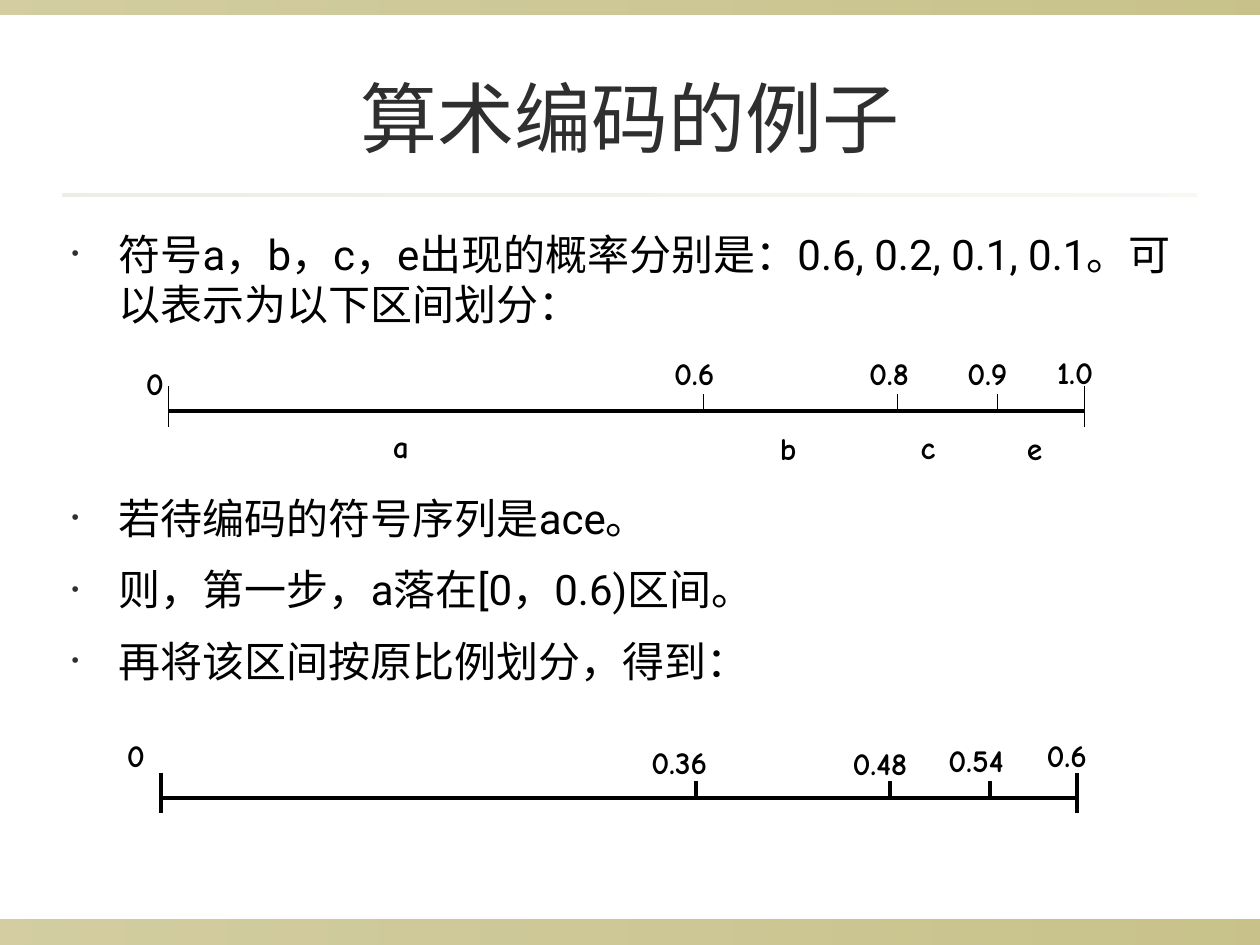
"""Build a slide that explains arithmetic coding with two divided intervals."""
import pptx
import pptx.dml.color
import pptx.enum.shapes
import pptx.enum.text
import pptx.oxml.ns
import pptx.util
from lxml import etree
from pptx.util import Cm

OLIVE = pptx.dml.color.RGBColor(0x91, 0x84, 0x15)
SAND = pptx.dml.color.RGBColor(0xDC, 0xD9, 0xCC)
CHARCOAL = pptx.dml.color.RGBColor(0x2F, 0x2F, 0x2F)
BLACK = pptx.dml.color.RGBColor(0, 0, 0)
TITLE_FONT = {"name": "Roboto", "size": pptx.util.Pt(44)}
BODY_FONT = {"name": "Roboto", "size": pptx.util.Pt(24)}
LABEL_FONT = {"name": "Comic Neue", "size": pptx.util.Pt(18), "bold": True}


def write_text(paragraph, text, font_format, color):
    run = paragraph.add_run()
    run.text = text
    for name, value in font_format.items():
        setattr(run.font, name, value)
    run.font.color.rgb = color


def draw_line(group, start_x, start_y, end_x, end_y, width):
    line = group.shapes.add_connector(
        pptx.enum.shapes.MSO_CONNECTOR.STRAIGHT, Cm(start_x), Cm(start_y), Cm(end_x), Cm(end_y)
    )
    line.line.color.rgb = BLACK
    line.line.width = pptx.util.Pt(width)
    etree.SubElement(line._element.spPr, pptx.oxml.ns.qn("a:effectLst"))


presentation = pptx.Presentation()
presentation.slide_width = Cm(25.4)
presentation.slide_height = Cm(19.05)
slide = presentation.slides.add_slide(presentation.slide_layouts[1])

bands = [
    (0, 18.54, 25.4, 0.51, OLIVE, (40, 50)),
    (0, 0, 25.4, 0.3, OLIVE, (40, 50)),
    (1.27, 3.91, 22.86, 0.05, SAND, (50, 20)),
]
for left, top, width, height, color, opacities in bands:
    shape = slide.shapes.add_shape(
        pptx.enum.shapes.MSO_SHAPE.RECTANGLE, Cm(left), Cm(top), Cm(width), Cm(height)
    )
    shape.shadow.inherit = False
    shape.line.fill.background()
    shape.fill.gradient()
    shape.fill.gradient_angle = 0
    for stop in shape.fill.gradient_stops:
        stop.color.rgb = color
    stop_colors = shape._element.spPr.iter(pptx.oxml.ns.qn("a:srgbClr"))
    for stop_color, opacity in zip(stop_colors, opacities):
        etree.SubElement(stop_color, pptx.oxml.ns.qn("a:alpha"), val=str(opacity * 1000))

title = slide.shapes.title
body = slide.placeholders[1]
placeholder_places = [(title, 1.27, 0.76, 22.86, 3.18), (body, 1.19, 4.47, 22.86, 13.03)]
for shape, left, top, width, height in placeholder_places:
    place = {"left": Cm(left), "top": Cm(top), "width": Cm(width), "height": Cm(height)}
    for name, value in place.items():
        setattr(shape, name, value)
    shape.text_frame.auto_size = pptx.enum.text.MSO_AUTO_SIZE.NONE
    shape.text_frame.word_wrap = True

title.text_frame.vertical_anchor = pptx.enum.text.MSO_ANCHOR.MIDDLE
title.text_frame.paragraphs[0].alignment = pptx.enum.text.PP_ALIGN.CENTER
write_text(title.text_frame.paragraphs[0], "算术编码的例子", TITLE_FONT, CHARCOAL)

bullets = [
    ("符号a，b，c，e出现的概率分别是：0.6, 0.2, 0.1, 0.1。可以表示为以下区间划分：", 0),
    ("若待编码的符号序列是ace。", 87.5),
    ("则，第一步，a落在[0，0.6)区间。", 6),
    ("再将该区间按原比例划分，得到：", 6),
]
for index, (text, space_before) in enumerate(bullets):
    paragraph = body.text_frame.add_paragraph() if index else body.text_frame.paragraphs[0]
    properties = paragraph._p.get_or_add_pPr()
    properties.set("marL", str(Cm(0.95)))
    properties.set("indent", str(Cm(-0.95)))
    bullet_color = etree.SubElement(properties, pptx.oxml.ns.qn("a:buClr"))
    etree.SubElement(bullet_color, pptx.oxml.ns.qn("a:srgbClr"), val=str(CHARCOAL))
    etree.SubElement(properties, pptx.oxml.ns.qn("a:buSzPct"), val="50000")
    etree.SubElement(properties, pptx.oxml.ns.qn("a:buChar"), char="•")
    paragraph.space_before = pptx.util.Pt(space_before)
    paragraph.space_after = pptx.util.Pt(6)
    write_text(paragraph, text, BODY_FONT, BLACK)

tick_offsets = [0, 10.78, 14.7, 16.71, 18.47]
intervals = [
    {
        "left": 3.4, "axis": 8.28, "axis_width": 2.5, "tick_width": 0.75,
        "labels": [
            ("0", 2.69, 7.21, 1.65), ("0.6", 13.34, 7.01, 1.65), ("0.8", 17.27, 7.01, 1.65),
            ("0.9", 19.25, 7.01, 1.65), ("1.0", 21.06, 6.99, 1.65), ("a", 7.67, 8.48, 1.42),
            ("b", 15.47, 8.53, 1.42), ("c", 18.31, 8.51, 1.42), ("e", 20.45, 8.53, 1.42),
        ],
    },
    {
        "left": 3.25, "axis": 16.08, "axis_width": 2.25, "tick_width": 2.25,
        "labels": [
            ("0", 2.31, 14.71, 1.65), ("0.36", 12.88, 14.86, 2.36), ("0.48", 16.94, 14.88, 2.13),
            ("0.54", 18.87, 14.81, 2.13), ("0.6", 20.85, 14.71, 1.65),
        ],
    },
]
for interval in intervals:
    group = slide.shapes.add_group_shape()
    left, axis = interval["left"], interval["axis"]
    draw_line(group, left, axis, left + tick_offsets[-1], axis, interval["axis_width"])
    for offset in tick_offsets:
        is_end = offset in (tick_offsets[0], tick_offsets[-1])
        rise, drop = (0.5, 0.32) if is_end else (0.33, 0)
        tick = left + offset
        draw_line(group, tick, axis - rise, tick, axis + drop, interval["tick_width"])
    for text, label_left, label_top, width in interval["labels"]:
        label = group.shapes.add_textbox(Cm(label_left), Cm(label_top), Cm(width), Cm(1.02))
        label.text_frame.word_wrap = True
        write_text(label.text_frame.paragraphs[0], text, LABEL_FONT, BLACK)

presentation.save("out.pptx")
